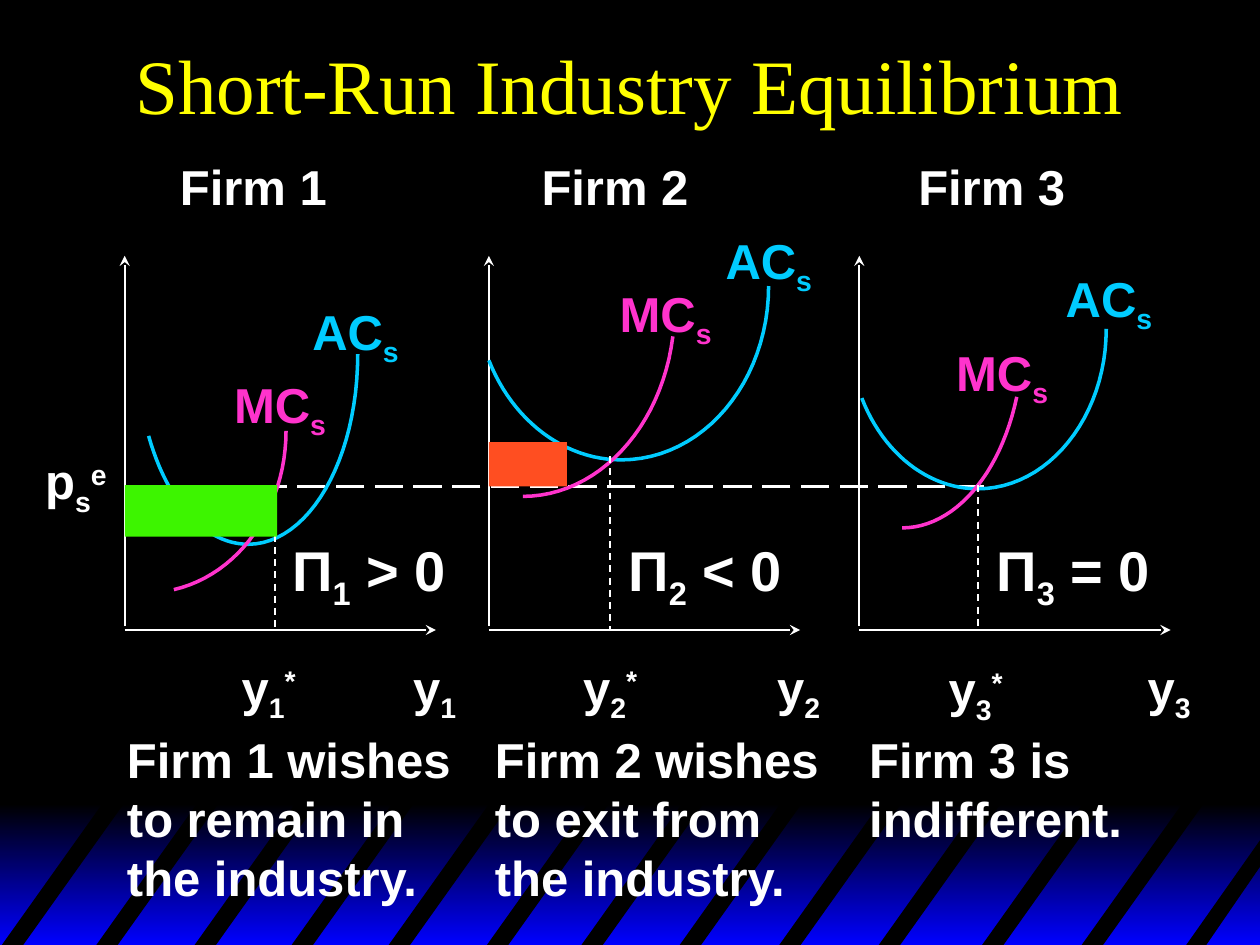
from dataclasses import dataclass

from lxml.etree import SubElement
from pptx import Presentation
from pptx.dml.color import RGBColor
from pptx.enum.dml import MSO_LINE_DASH_STYLE as Dash
from pptx.enum.shapes import MSO_CONNECTOR, MSO_SHAPE
from pptx.enum.text import MSO_ANCHOR, MSO_AUTO_SIZE, PP_ALIGN
from pptx.oxml.ns import qn
from pptx.util import Inches, Pt

BLACK = RGBColor(0x00, 0x00, 0x00)
BLUE = RGBColor(0x00, 0x00, 0xFF)
WHITE = RGBColor(0xFF, 0xFF, 0xFF)
YELLOW = RGBColor(0xFF, 0xFF, 0x00)
CYAN = RGBColor(0x00, 0xCC, 0xFF)
PINK = RGBColor(0xFF, 0x33, 0xCC)
GREEN = RGBColor(0x3D, 0xF5, 0x00)
ORANGE = RGBColor(0xFF, 0x4E, 0x21)

SUB, SUPER = -25000, 30000
AXIS_TOP, AXIS_BASE, AXIS_WIDTH = 2.03, 5, 2.47
PRICE = 3.86
STRIPE_LEFTS = [0, 0.75, 1.53, 2.3, 3.07, 3.85, 4.6, 5.38, 6.17, 6.96, 7.78, 8.57]


@dataclass
class Firm:
    number: str
    origin: float
    heading_left: float
    average_cost: list
    average_label: tuple
    marginal_cost: list
    marginal_label: tuple
    output: float
    output_top: float
    output_label: tuple
    profit_left: float
    profit_sign: str
    verdict: str
    verdict_box: tuple


FIRMS = [
    Firm("1", 0.99, 1.33,
         [(2.84, 2.81), (2.84, 3.65), (2.45, 4.32), (1.97, 4.32),
          (1.63, 4.32), (1.33, 3.99), (1.18, 3.46)], (2.38, 2.34),
         [(2.27, 3.42), (2.27, 4.03), (1.9, 4.56), (1.38, 4.68)], (1.76, 2.92),
         2.18, 3.86, (1.82, 5.17), 2.22, ">",
         "Firm 1 wishes\nto remain in\nthe industry.", (0.91, 5.74, 2.77, 1.5)),
    Firm("2", 3.88, 4.2,
         [(6.1, 2.27), (6.1, 3.03), (5.58, 3.65), (4.93, 3.65),
          (4.48, 3.65), (4.07, 3.34), (3.88, 2.86)], (5.66, 1.78),
         [(5.34, 2.67), (5.25, 3.4), (4.74, 3.94), (4.15, 3.94)], (4.82, 2.2),
         4.84, 3.62, (4.53, 5.17), 4.89, "<",
         "Firm 2 wishes\nto exit from\nthe industry.", (3.83, 5.74, 2.77, 1.5)),
    Firm("3", 6.82, 7.19,
         [(8.78, 2.61), (8.78, 3.31), (8.32, 3.88), (7.76, 3.88),
          (7.37, 3.88), (7.01, 3.6), (6.84, 3.16)], (8.36, 2.08),
         [(8.07, 3.15), (7.94, 3.77), (7.57, 4.19), (7.16, 4.19)], (7.49, 2.67),
         7.76, 3.85, (7.43, 5.18), 7.81, "=",
         "Firm 3 is\nindifferent.", (6.8, 5.74, 2.21, 1.03)),
]


def add_text(page, place, pieces, color=WHITE, size=28):
    """Add a one-paragraph label; pieces are (text, baseline shift) pairs."""
    box = page.shapes.add_textbox(*map(Inches, place))
    frame = box.text_frame
    frame.word_wrap = False
    frame.auto_size = MSO_AUTO_SIZE.SHAPE_TO_FIT_TEXT
    para = frame.paragraphs[0]
    for text, shift in pieces:
        for index, line in enumerate(text.split("\n")):
            if index:
                para.add_line_break()
            span = para.add_run()
            span.text = line
            span.font.name = "Arial"
            span.font.size = Pt(size)
            span.font.bold = True
            span.font.color.rgb = color
            if shift:
                span._r.get_or_add_rPr().set("baseline", str(shift))


def add_title(page, text):
    box = page.shapes.add_textbox(0, 0, Inches(10), Inches(1.33))
    frame = box.text_frame
    frame.word_wrap = True
    frame.vertical_anchor = MSO_ANCHOR.MIDDLE
    para = frame.paragraphs[0]
    para.alignment = PP_ALIGN.CENTER
    span = para.add_run()
    span.text = text
    span.font.name = "Times New Roman"
    span.font.size = Pt(44)
    span.font.color.rgb = YELLOW


def add_line(page, start, end, width=1, dash=None, arrow=False):
    line = page.shapes.add_connector(
        MSO_CONNECTOR.STRAIGHT, *map(Inches, (*start, *end)))
    line.line.color.rgb = WHITE
    line.line.width = Pt(width)
    if dash:
        line.line.dash_style = dash
    properties = line._element.spPr
    if arrow:
        SubElement(properties.find(qn("a:ln")), qn("a:tailEnd"), type="stealth")
    SubElement(properties, qn("a:effectLst"))


def add_block(page, place, color=None):
    block = page.shapes.add_shape(MSO_SHAPE.RECTANGLE, *map(Inches, place))
    block.shadow.inherit = False
    block.line.fill.background()
    if color is not None:
        block.fill.solid()
        block.fill.fore_color.rgb = color
    return block


def add_outline(page, points, close):
    corners = [(Inches(x), Inches(y)) for x, y in points]
    builder = page.shapes.build_freeform(*corners[0])
    builder.add_line_segments(corners[1:], close=close)
    outline = builder.convert_to_shape()
    outline.shadow.inherit = False
    return outline


def add_stripe(page, points):
    stripe = add_outline(page, points, close=True)
    stripe.fill.solid()
    stripe.fill.fore_color.rgb = BLACK
    stripe.line.fill.background()


def bezier_point(controls, t):
    weights = ((1 - t) ** 3, 3 * t * (1 - t) ** 2, 3 * t ** 2 * (1 - t), t ** 3)
    return tuple(sum(w * point[axis] for w, point in zip(weights, controls))
                 for axis in (0, 1))


def add_curve(page, controls, color, steps=24):
    """Draw joined cubic Bezier arcs that share their end points."""
    points = [controls[0]]
    for first in range(0, len(controls) - 1, 3):
        arc = controls[first:first + 4]
        points += [bezier_point(arc, step / steps) for step in range(1, steps + 1)]
    curve = add_outline(page, points, close=False)
    curve.fill.background()
    curve.line.color.rgb = color
    curve.line.width = Pt(2)


def add_backdrop(page):
    page.background.fill.solid()
    page.background.fill.fore_color.rgb = BLACK
    band = add_block(page, (0, 6.38, 10.02, 1.12))
    band.fill.gradient()
    band.fill.gradient_angle = 270
    for stop, position, color in zip(band.fill.gradient_stops, (0, 1), (BLACK, BLUE)):
        stop.position = position
        stop.color.rgb = color
    for left in STRIPE_LEFTS:
        add_stripe(page, [(left, 7.52), (left + 0.84, 6.34),
                          (left + 1.01, 6.34), (left + 0.17, 7.52)])
    add_stripe(page, [(9.4, 7.52), (10.02, 6.64), (10.02, 6.85), (9.56, 7.52)])


def add_diagram(page, firm):
    left, number = firm.origin, (firm.number, SUB)
    add_line(page, (left, 4.97), (left, AXIS_TOP), arrow=True)
    add_line(page, (left, AXIS_BASE), (left + AXIS_WIDTH, AXIS_BASE), arrow=True)
    add_curve(page, firm.average_cost, CYAN)
    add_curve(page, firm.marginal_cost, PINK)
    add_line(page, (firm.output, firm.output_top), (firm.output, AXIS_BASE),
             dash=Dash.DASH)
    add_text(page, (*firm.average_label, 0.91, 0.57), [("AC", 0), ("s", SUB)], CYAN)
    add_text(page, (*firm.marginal_label, 0.95, 0.57), [("MC", 0), ("s", SUB)], PINK)
    add_text(page, (left + 2.19, 5.17, 0.57, 0.57), [("y", 0), number])
    add_text(page, (*firm.output_label, 0.67, 0.57), [("y", 0), number, ("*", SUPER)])
    add_text(page, (firm.heading_left, 1.19, 1.37, 0.57), [(f"Firm {firm.number}", 0)])
    add_text(page, firm.verdict_box, [(firm.verdict, 0)])
    add_text(page, (firm.profit_left, 4.2, 1.44, 0.63),
             [("Π", 0), number, (f" {firm.profit_sign} 0", 0)], size=32)


def main():
    deck = Presentation()
    deck.slide_width, deck.slide_height = Inches(10), Inches(7.5)
    page = deck.slides.add_slide(deck.slide_layouts[6])
    add_backdrop(page)
    add_title(page, "Short-Run Industry Equilibrium")
    add_line(page, (7.81, PRICE), (0.99, PRICE), width=2, dash=Dash.LONG_DASH)
    add_text(page, (0.26, 3.53, 0.73, 0.57), [("p", 0), ("s", SUB), ("e", SUPER)])
    for firm in FIRMS:
        add_diagram(page, firm)
    add_block(page, (0.99, 3.85, 1.21, 0.41), GREEN)
    add_block(page, (3.88, 3.51, 0.62, 0.35), ORANGE)
    deck.save("out.pptx")


if __name__ == "__main__":
    main()
